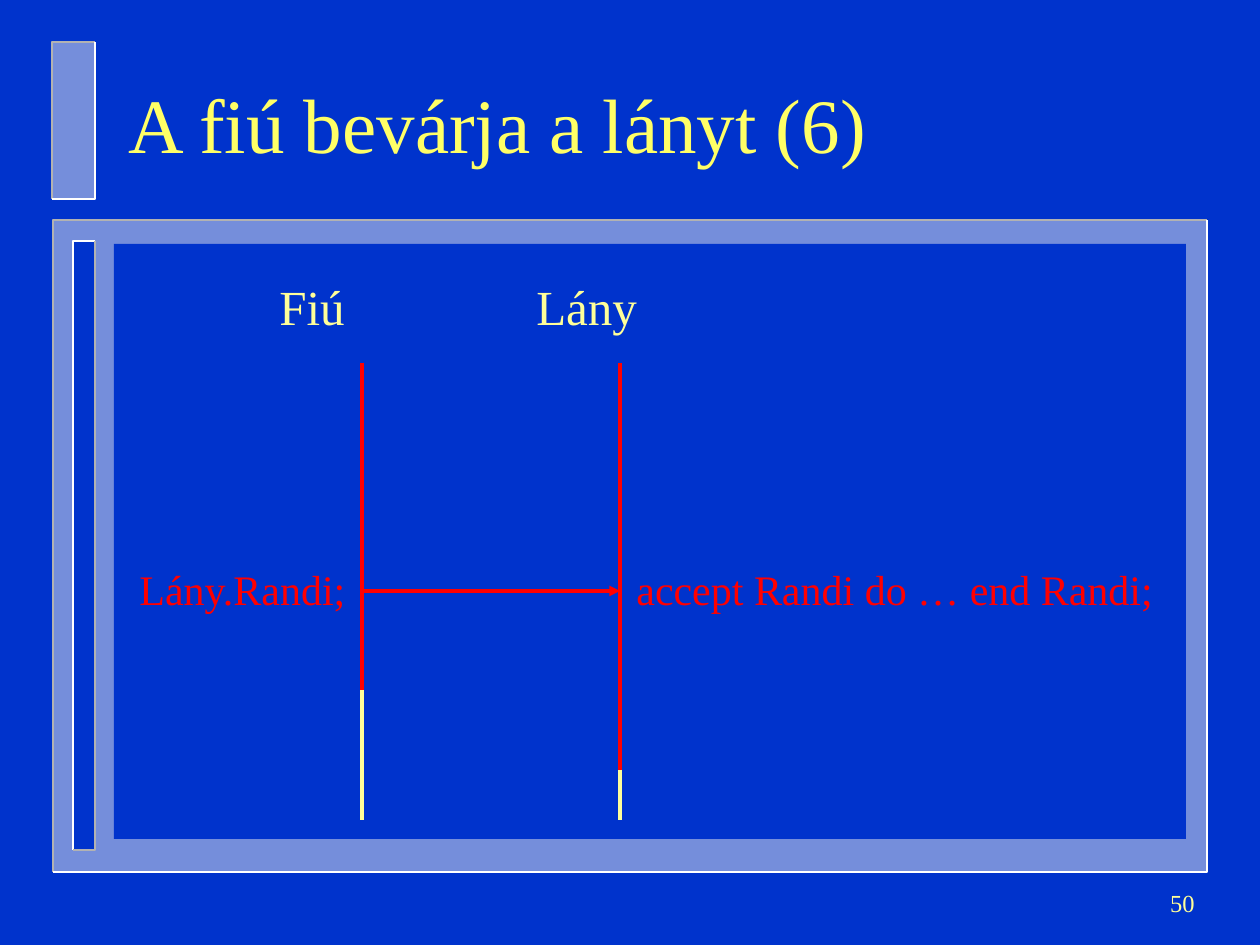
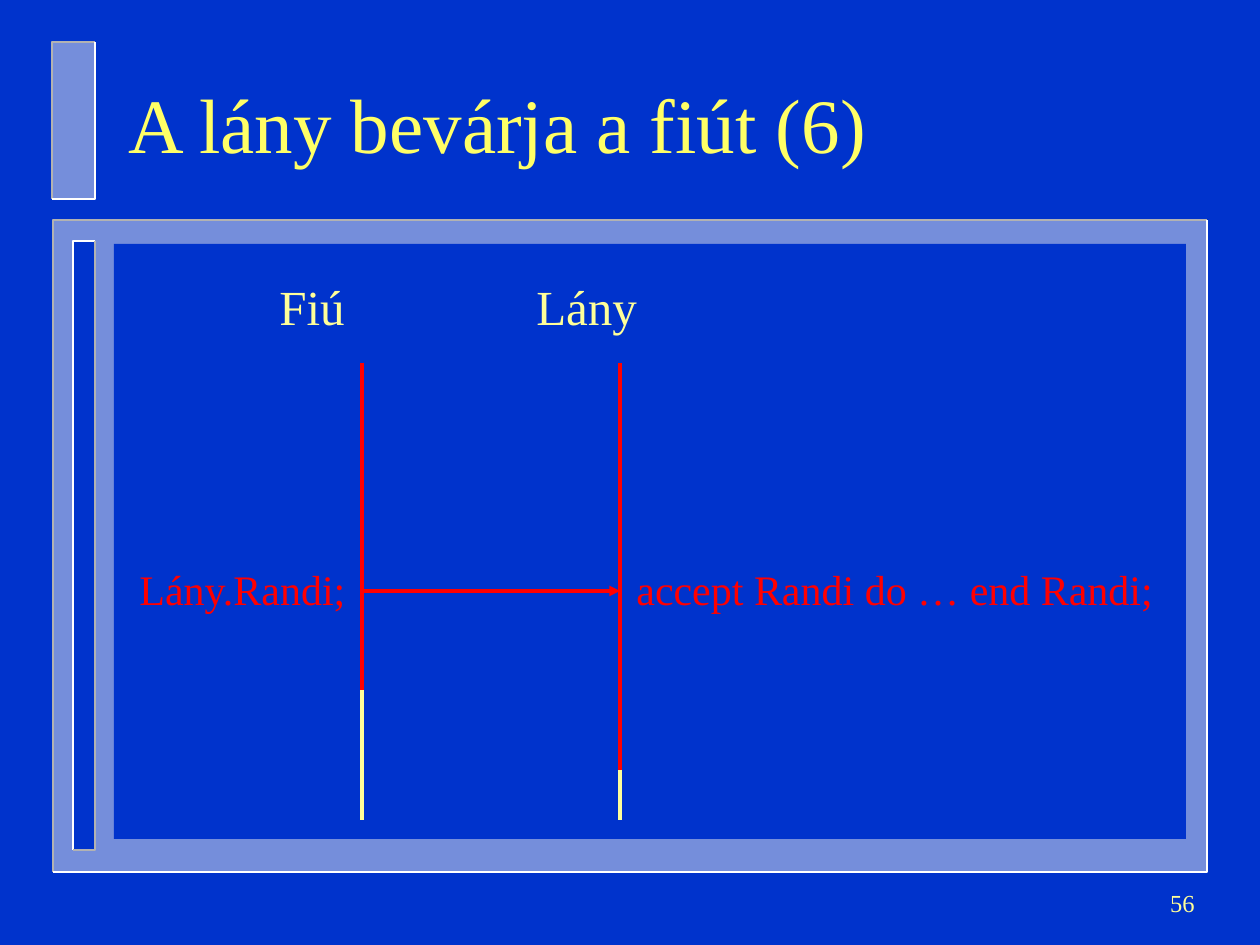
from typing import NamedTuple

from lxml.etree import SubElement
from pptx import Presentation
from pptx.dml.color import RGBColor
from pptx.enum.shapes import MSO_CONNECTOR, MSO_SHAPE
from pptx.enum.text import MSO_ANCHOR, MSO_AUTO_SIZE, PP_ALIGN
from pptx.oxml.ns import qn
from pptx.presentation import Presentation as Deck
from pptx.shapes.base import BaseShape
from pptx.slide import Slide
from pptx.util import Emu, Pt

EMU_PER_PX = 914400 / 126
FONT = "Times New Roman"
BLUE = RGBColor(0x00, 0x33, 0xCC)
SILVER = RGBColor(0xEA, 0xEA, 0xEA)
GREY = RGBColor(0xB2, 0xB2, 0xB2)
WHITE = RGBColor(0xFF, 0xFF, 0xFF)
YELLOW = RGBColor(0xFF, 0xFF, 0x66)
CREAM = RGBColor(0xFF, 0xFF, 0x99)
RED = RGBColor(0xFF, 0x00, 0x00)


class Area(NamedTuple):
    left: int
    top: int
    width: int
    height: int


class Panel(NamedTuple):
    area: Area
    fill: RGBColor
    opacity: int
    upper_edge: RGBColor | None = None
    lower_edge: RGBColor | None = None


class Label(NamedTuple):
    text: str
    area: Area
    size: int
    color: RGBColor


class Lifeline(NamedTuple):
    x: int
    stops: tuple[int, ...]


class Page(NamedTuple):
    title: str
    number: int


TITLE_AREA = Area(116, 47, 1071, 152)
NUMBER_AREA = Area(945, 871, 262, 63)
TEXT_INDENT = 63
CALL_Y = 591

PANELS = (
    Panel(Area(53, 220, 1154, 652), SILVER, 50, GREY, WHITE),
    Panel(Area(73, 241, 22, 609), BLUE, 100, WHITE, GREY),
    Panel(Area(52, 42, 43, 157), SILVER, 50, GREY, WHITE),
    Panel(Area(114, 244, 1072, 595), BLUE, 100),
)
LABELS = (
    Label("Fiú", Area(204, 270, 233, 72), 28, CREAM),
    Label("Lány", Area(461, 270, 268, 72), 28, CREAM),
    Label("Lány.Randi;", Area(64, 557, 297, 63), 24, RED),
    Label("accept Randi do … end Randi;", Area(561, 557, 625, 63), 24, RED),
)
BOY = Lifeline(362, (363, 462, CALL_Y, 690, 820))
GIRL = Lifeline(620, (363, 462, CALL_Y, 770, 820))
PAGES = (
    Page("A fiú bevárja a lányt (6)", 50),
    Page("A lány bevárja a fiút (6)", 56),
)


def px(length: int) -> Emu:
    return Emu(round(length * EMU_PER_PX))


def write(box: BaseShape, text: str, size: int, color: RGBColor,
          align: PP_ALIGN = PP_ALIGN.LEFT, anchor: MSO_ANCHOR = MSO_ANCHOR.TOP) -> None:
    frame = box.text_frame
    frame.text = text
    frame.word_wrap = True
    frame.auto_size = MSO_AUTO_SIZE.NONE
    frame.vertical_anchor = anchor
    para = frame.paragraphs[0]
    para.alignment = align
    para.space_before = Pt(0)
    for span in para.runs:
        span.font.name = FONT
        span.font.size = Pt(size)
        span.font.color.rgb = color


def draw_edge(slide: Slide, points: list[tuple[int, int]], color: RGBColor) -> None:
    builder = slide.shapes.build_freeform(*points[0], scale=EMU_PER_PX)
    builder.add_line_segments(points[1:], close=False)
    edge = builder.convert_to_shape()
    edge.shadow.inherit = False
    edge.fill.background()
    edge.line.color.rgb = color
    edge.line.width = Pt(1)


def draw_panel(slide: Slide, panel: Panel) -> None:
    shape = slide.shapes.add_shape(MSO_SHAPE.RECTANGLE, *map(px, panel.area))
    shape.shadow.inherit = False
    shape.fill.solid()
    shape.fill.fore_color.rgb = panel.fill
    shape.line.fill.background()
    if panel.opacity < 100:
        tint = shape._element.spPr.find(qn("a:solidFill"))[0]
        SubElement(tint, qn("a:alpha"), val=str(panel.opacity * 1000))
    left, top, width, height = panel.area
    right, bottom = left + width, top + height
    if panel.upper_edge is not None:
        draw_edge(slide, [(right, top), (left, top), (left, bottom)], panel.upper_edge)
    if panel.lower_edge is not None:
        draw_edge(slide, [(right, top), (right, bottom), (left, bottom)], panel.lower_edge)


def draw_label(slide: Slide, label: Label) -> None:
    box = slide.shapes.add_textbox(*map(px, label.area))
    write(box, label.text, label.size, label.color)
    properties = box.text_frame.paragraphs[0]._p.get_or_add_pPr()
    properties.set("marL", str(px(TEXT_INDENT)))


def draw_line(slide: Slide, start: tuple[int, int], end: tuple[int, int],
              color: RGBColor, arrow: bool = False) -> None:
    line = slide.shapes.add_connector(MSO_CONNECTOR.STRAIGHT, *map(px, start + end))
    line.line.color.rgb = color
    line.line.width = Pt(2)
    properties = line._element.spPr
    if arrow:
        SubElement(properties.find(qn("a:ln")), qn("a:tailEnd"), type="triangle")
    SubElement(properties, qn("a:effectLst"))


def draw_lifeline(slide: Slide, lifeline: Lifeline) -> None:
    x, stops = lifeline
    for top, bottom in zip(stops, stops[1:]):
        color = CREAM if bottom == stops[-1] else RED
        draw_line(slide, (x, top), (x, bottom), color)


def draw_title(slide: Slide, text: str) -> None:
    title = slide.shapes.title
    title.left, title.top, title.width, title.height = map(px, TITLE_AREA)
    write(title, text, 44, YELLOW, anchor=MSO_ANCHOR.MIDDLE)


def draw_number(slide: Slide, number: int) -> None:
    box = slide.shapes.add_textbox(*map(px, NUMBER_AREA))
    write(box, str(number), 14, CREAM, PP_ALIGN.RIGHT, MSO_ANCHOR.MIDDLE)


def add_page(deck: Deck, page: Page) -> None:
    slide = deck.slides.add_slide(deck.slide_layouts.get_by_name("Title Only"))
    for panel in PANELS:
        draw_panel(slide, panel)
    draw_title(slide, page.title)
    for label in LABELS:
        draw_label(slide, label)
    for lifeline in (BOY, GIRL):
        draw_lifeline(slide, lifeline)
    draw_line(slide, (BOY.x, CALL_Y), (GIRL.x, CALL_Y), RED, arrow=True)
    draw_number(slide, page.number)


def main() -> None:
    deck = Presentation()
    deck.slide_width, deck.slide_height = px(1260), px(945)
    background = deck.slide_master.background.fill
    background.solid()
    background.fore_color.rgb = BLUE
    for page in PAGES:
        add_page(deck, page)
    deck.save("out.pptx")


if __name__ == "__main__":
    main()
